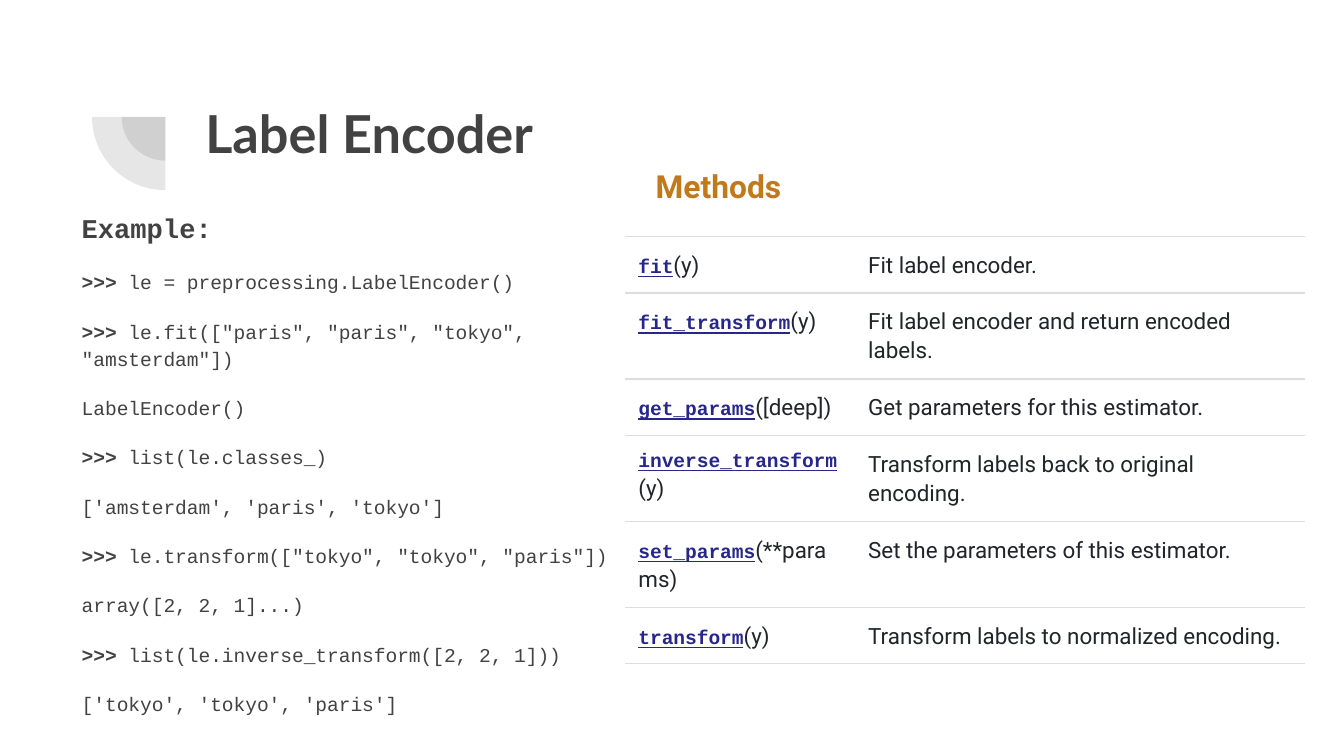
from dataclasses import dataclass

import lxml.etree
import pptx
import pptx.dml.color
import pptx.enum.shapes
import pptx.enum.text
import pptx.oxml
import pptx.oxml.ns
import pptx.util

Inches = pptx.util.Inches
Pt = pptx.util.Pt

GREY = "424242"
BORDER = "DDDDDD"
WHITE = "FFFFFF"


@dataclass
class Style:
    font: str
    size: float
    color: str
    bold: bool = False
    underline: bool = False


@dataclass
class Span:
    text: str
    style: Style


@dataclass
class Method:
    name: str
    arguments: str
    summary: str


TITLE = Style("Lato", 28, GREY, bold=True)
HEADING = Style("Roboto", 17, "C0791B", bold=True)
EXAMPLE = Style("Courier New", 14.5, GREY, bold=True)
PROMPT = Style("Courier New", 10.5, GREY, bold=True)
CODE = Style("Courier New", 10.5, GREY)
LINK = Style("Courier New", 10.5, "27278B", bold=True, underline=True)
BODY = Style("Roboto", 12, "212529")

PROMPT_TEXT = ">>> "
CODE_LINES = [
    ">>> le = preprocessing.LabelEncoder()",
    '>>> le.fit(["paris", "paris", "tokyo", "amsterdam"])',
    "LabelEncoder()",
    ">>> list(le.classes_)",
    "['amsterdam', 'paris', 'tokyo']",
    '>>> le.transform(["tokyo", "tokyo", "paris"])',
    "array([2, 2, 1]...)",
    ">>> list(le.inverse_transform([2, 2, 1]))",
    "['tokyo', 'tokyo', 'paris']",
]
METHODS = [
    Method("fit", "(y)", "Fit label encoder."),
    Method("fit_transform", "(y)", "Fit label encoder and return encoded labels."),
    Method("get_params", "([deep])", "Get parameters for this estimator."),
    Method("inverse_transform", "(y)", "Transform labels back to original encoding."),
    Method("set_params", "(**params)", "Set the parameters of this estimator."),
    Method("transform", "(y)", "Transform labels to normalized encoding."),
]


def rgb(color: str) -> pptx.dml.color.RGBColor:
    return pptx.dml.color.RGBColor.from_string(color)


def write(paragraph, spans: list[Span], spacing: float = 1.0, before: float = 0) -> None:
    paragraph.line_spacing = spacing
    paragraph.space_before = Pt(before)
    for span in spans:
        run = paragraph.add_run()
        run.text = span.text
        run.font.name = span.style.font
        run.font.size = Pt(span.style.size)
        run.font.bold = span.style.bold
        run.font.underline = span.style.underline
        run.font.color.rgb = rgb(span.style.color)


def set_margins(target) -> None:
    target.margin_left = target.margin_right = Inches(0.1)
    target.margin_top = target.margin_bottom = Inches(0.1)


def add_text_frame(page, left: float, top: float, width: float, height: float):
    box = page.shapes.add_textbox(Inches(left), Inches(top), Inches(width), Inches(height))
    frame = box.text_frame
    frame.word_wrap = True
    frame.vertical_anchor = pptx.enum.text.MSO_ANCHOR.TOP
    set_margins(frame)
    return frame


def add_quarter_circle(page, center_x: float, center_y: float, diameter: float) -> None:
    pie = page.shapes.add_shape(
        pptx.enum.shapes.MSO_SHAPE.PIE,
        Inches(center_x - diameter / 2),
        Inches(center_y - diameter / 2),
        Inches(diameter),
        Inches(diameter),
    )
    pie.adjustments[0] = 108
    pie.adjustments[1] = 162
    pie.rotation = 270
    pie.shadow.inherit = False
    pie.line.fill.background()
    pie.fill.solid()
    pie.fill.fore_color.rgb = rgb(GREY)
    color = pie.fill._xPr.find(".//" + pptx.oxml.ns.qn("a:srgbClr"))
    lxml.etree.SubElement(color, pptx.oxml.ns.qn("a:alpha"), val="13000")


def fill_cell(cell, spans: list[Span]) -> None:
    set_margins(cell)
    write(cell.text_frame.paragraphs[0], spans, spacing=1.1)
    properties = cell._tc.get_or_add_tcPr()
    solid = f'<a:solidFill><a:srgbClr val="{BORDER}"/></a:solidFill>'
    borders = {"lnL": "<a:noFill/>", "lnR": "<a:noFill/>", "lnT": solid, "lnB": solid}
    for index, (side, paint) in enumerate(borders.items()):
        border = pptx.oxml.parse_xml(
            f'<a:{side} {pptx.oxml.ns.nsdecls("a")} w="{Pt(0.75)}">{paint}</a:{side}>'
        )
        properties.insert(index, border)
    cell.fill.solid()
    cell.fill.fore_color.rgb = rgb(WHITE)


def add_methods_table(page) -> None:
    widths = [1.71, 3.35]
    row_height = 0.25
    table = page.shapes.add_table(
        len(METHODS), len(widths), Inches(4.65), Inches(1.76),
        Inches(sum(widths)), Inches(row_height * len(METHODS)),
    ).table
    table.first_row = False
    table.horz_banding = False
    for column, width in zip(table.columns, widths):
        column.width = Inches(width)
    for row, method in zip(table.rows, METHODS):
        row.height = Inches(row_height)
        fill_cell(row.cells[0], [Span(method.name, LINK), Span(method.arguments, BODY)])
        fill_cell(row.cells[1], [Span(method.summary, BODY)])


def add_example(page) -> None:
    frame = add_text_frame(page, 0.51, 1.44, 4.27, 4)
    write(frame.paragraphs[0], [Span("Example:", EXAMPLE)], spacing=1.15)
    for line in CODE_LINES:
        spans = [Span(line.removeprefix(PROMPT_TEXT), CODE)]
        if line.startswith(PROMPT_TEXT):
            spans.insert(0, Span(PROMPT_TEXT, PROMPT))
        write(frame.add_paragraph(), spans, spacing=1.15, before=12)


def main() -> None:
    deck = pptx.Presentation()
    deck.slide_width = Inches(10)
    deck.slide_height = Inches(10 * 9 / 16)
    page = deck.slides.add_slide(deck.slide_layouts[6])
    for diameter in (0.65, 1.09):
        add_quarter_circle(page, 1.23, 0.87, diameter)
    title = add_text_frame(page, 1.43, 0.65, 7.69, 1.09)
    write(title.paragraphs[0], [Span("Label Encoder", TITLE)])
    add_example(page)
    add_methods_table(page)
    heading = add_text_frame(page, 4.78, 1.14, 4.8, 0.49)
    write(heading.paragraphs[0], [Span("Methods", HEADING)])
    deck.save("out.pptx")


if __name__ == "__main__":
    main()
